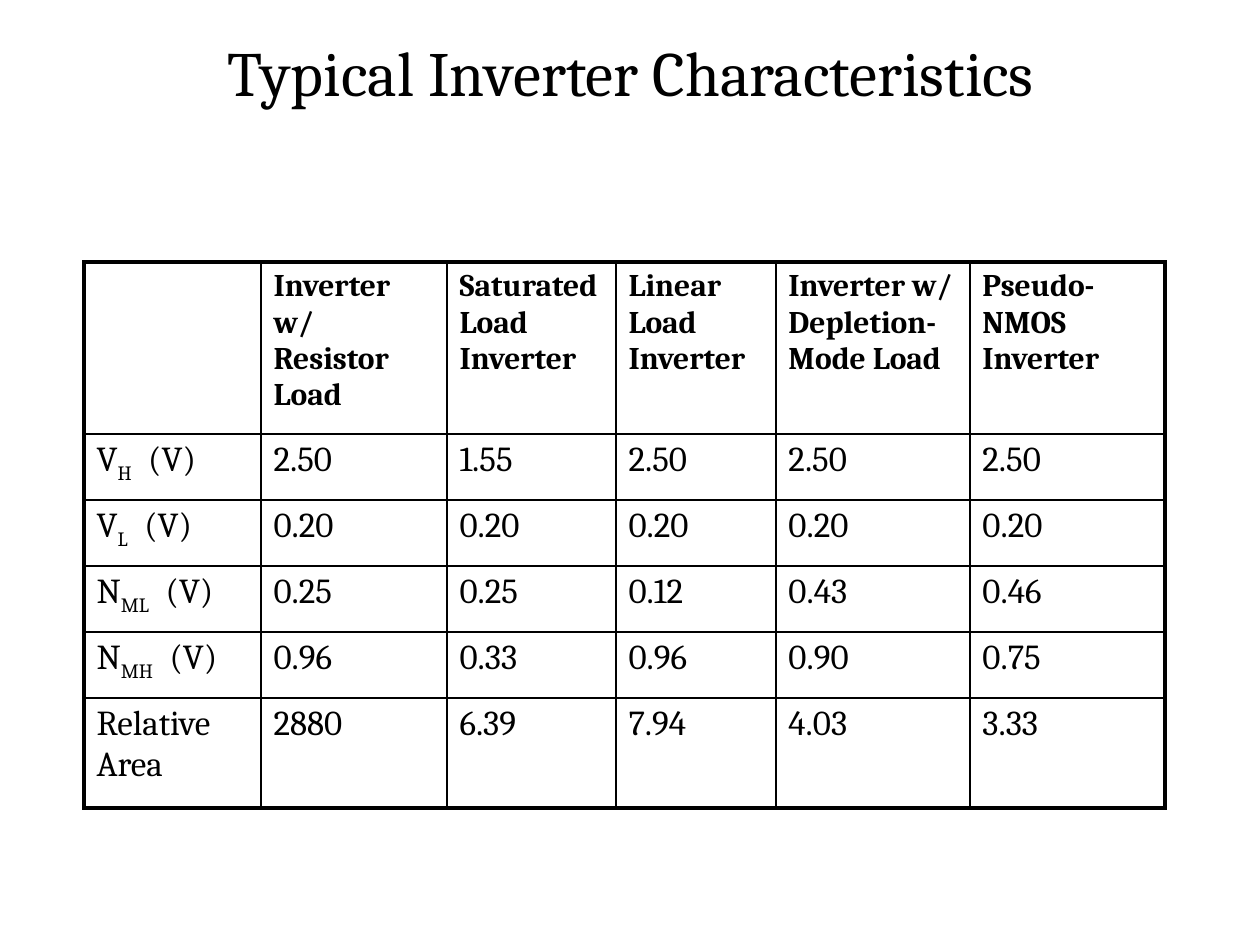
from lxml.etree import SubElement
from pptx import Presentation
from pptx.dml.color import RGBColor
from pptx.enum.text import MSO_ANCHOR, PP_ALIGN
from pptx.oxml.ns import qn
from pptx.util import Emu, Pt

TITLE = "Typical Inverter Characteristics"
HEADERS = [
    "",
    "Inverter w/ Resistor Load",
    "Saturated Load Inverter",
    "Linear Load Inverter",
    "Inverter w/ Depletion-Mode Load",
    "Pseudo-NMOS Inverter",
]
ROWS = [
    (("V", "H"), "2.50", "1.55", "2.50", "2.50", "2.50"),
    (("V", "L"), "0.20", "0.20", "0.20", "0.20", "0.20"),
    (("N", "ML"), "0.25", "0.25", "0.12", "0.43", "0.46"),
    (("N", "MH"), "0.96", "0.33", "0.96", "0.90", "0.75"),
    ("Relative Area", "2880", "6.39", "7.94", "4.03", "3.33"),
]
UNIT = "(V)"
COLUMN_WIDTHS = [177, 186, 169, 160, 194, 195]
ROW_HEIGHTS = [172, 66, 66, 66, 66, 110]
TABLE_LEFT, TABLE_TOP = 84, 262
TITLE_BOX = (95, 10, 1071, 136)
BLACK = RGBColor(0, 0, 0)
FONT = "Cambria"
THIN, THICK = 1, 2.25


def px(length):
    return Emu(round(length * 914400 / 126))


def add_text(paragraph, text, size=20, bold=False, baseline=0, spacing=0):
    run = paragraph.add_run()
    run.text = text
    run.font.name = FONT
    run.font.size = Pt(size)
    run.font.bold = bold
    run.font.color.rgb = BLACK
    properties = run.font._element
    if baseline:
        properties.set("baseline", str(baseline * 1000))
    if spacing:
        properties.set("spc", str(spacing * 100))


def set_borders(cell, widths):
    properties = cell._tc.get_or_add_tcPr()
    for side, width in widths.items():
        line = SubElement(properties, qn(f"a:ln{side}"), w=str(Pt(width)))
        fill = SubElement(line, qn("a:solidFill"))
        SubElement(fill, qn("a:srgbClr"), val=str(BLACK))


def add_title(slide):
    shape = slide.shapes.add_textbox(*map(px, TITLE_BOX))
    frame = shape.text_frame
    frame.word_wrap = True
    frame.vertical_anchor = MSO_ANCHOR.MIDDLE
    paragraph = frame.paragraphs[0]
    paragraph.alignment = PP_ALIGN.CENTER
    paragraph.line_spacing = 0.8
    add_text(paragraph, TITLE, size=36)


def fill_cell(cell, content, header):
    paragraph = cell.text_frame.paragraphs[0]
    paragraph.space_before = Pt(4)
    if isinstance(content, tuple):
        symbol, subscript = content
        add_text(paragraph, symbol)
        add_text(paragraph, subscript, baseline=-25)
        add_text(paragraph, " ", spacing=5)
        add_text(paragraph, UNIT)
    elif content:
        add_text(paragraph, content, size=18 if header else 20, bold=header)


def add_characteristics_table(slide):
    contents = [HEADERS, *ROWS]
    last_row, last_column = len(contents) - 1, len(HEADERS) - 1
    table = slide.shapes.add_table(
        len(contents), len(HEADERS), px(TABLE_LEFT), px(TABLE_TOP),
        px(sum(COLUMN_WIDTHS)), px(sum(ROW_HEIGHTS)),
    ).table
    table.first_row = False
    table.horz_banding = False
    for column, width in zip(table.columns, COLUMN_WIDTHS):
        column.width = px(width)
    for row, height in zip(table.rows, ROW_HEIGHTS):
        row.height = px(height)
    for i, values in enumerate(contents):
        for j, content in enumerate(values):
            cell = table.cell(i, j)
            outer = {"L": j == 0, "R": j == last_column, "T": i == 0, "B": i == last_row}
            set_borders(cell, {side: THICK if edge else THIN for side, edge in outer.items()})
            cell.fill.background()
            fill_cell(cell, content, header=i == 0)


def main():
    presentation = Presentation()
    presentation.slide_width = px(1260)
    presentation.slide_height = px(945)
    slide = presentation.slides.add_slide(presentation.slide_layouts[6])
    add_title(slide)
    add_characteristics_table(slide)
    presentation.save("out.pptx")


if __name__ == "__main__":
    main()
